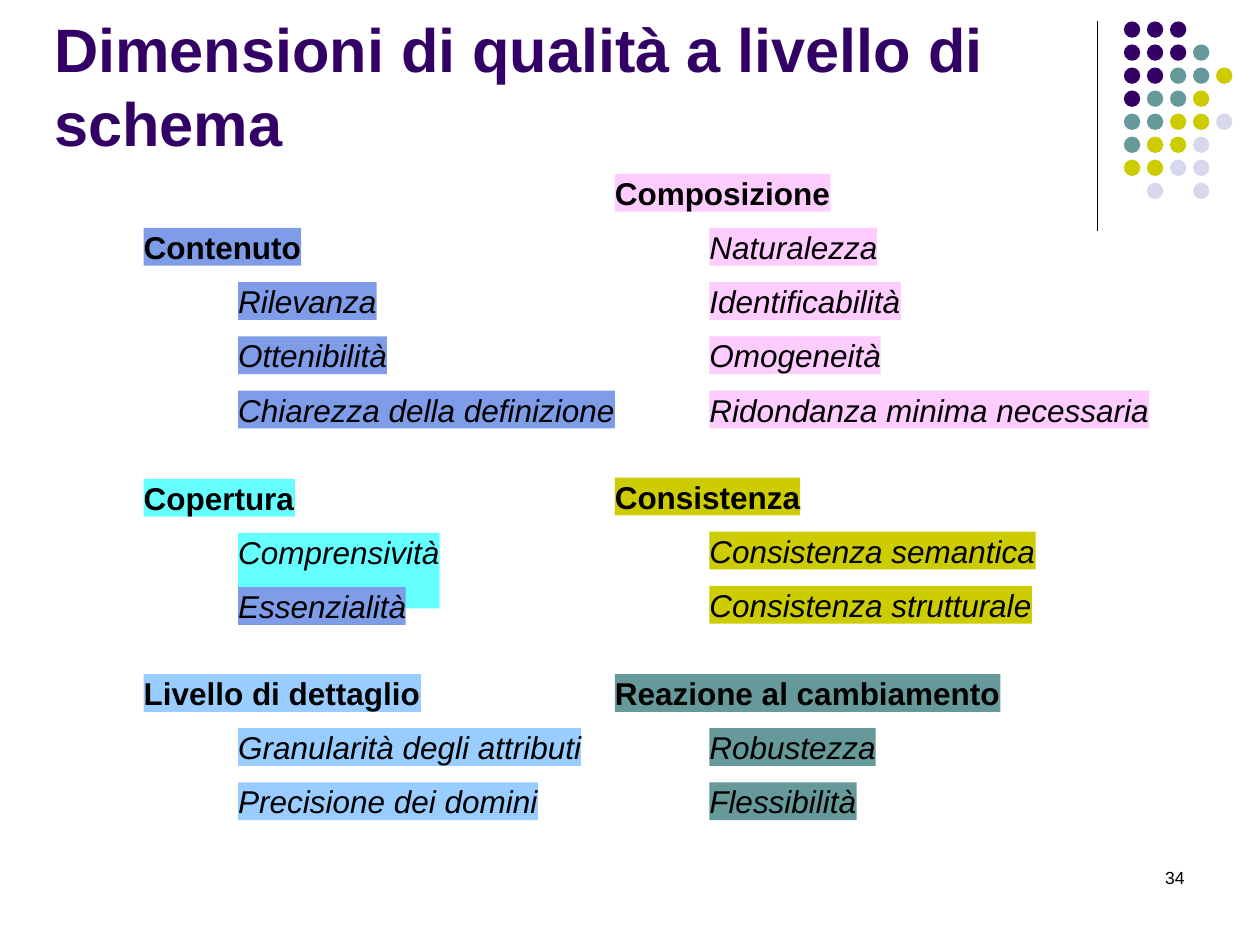
import lxml.etree
import pptx
import pptx.dml.color
import pptx.enum.shapes
import pptx.enum.text
import pptx.oxml.ns
import pptx.util
from pptx.util import Inches

TITLE = "Dimensioni di qualità a livello di schema"
PAGE_NUMBER = "34"

BLUE, CYAN, SKY = "7E9CE8", "66FFFF", "99CCFF"
PINK, OLIVE, TEAL = "FFCCFF", "CCCC00", "669999"
PURPLE, LAVENDER, BLACK = "330066", "D8D8EC", "000000"

# Each group: left, top, fill, then its labels with their widths, heading first
GROUPS = [
    (1.14, 1.81, BLUE, [("Contenuto", 1.25), ("Rilevanza", 1.1), ("Ottenibilità", 1.18),
                        ("Chiarezza della definizione", 2.99)]),
    (1.14, 3.8, CYAN, [("Copertura", 1.2), ("Comprensività", 1.6), ("Essenzialità", 1.33)]),
    (1.14, 5.35, SKY, [("Livello di dettaglio", 2.2), ("Granularità degli attributi", 2.72),
                       ("Precisione dei domini", 2.38)]),
    (4.88, 1.38, PINK, [("Composizione", 1.71), ("Naturalezza", 1.33), ("Identificabilità", 1.52),
                        ("Omogeneità", 1.36), ("Ridondanza minima necessaria", 3.49)]),
    (4.88, 3.79, OLIVE, [("Consistenza", 1.47), ("Consistenza semantica", 2.59),
                         ("Consistenza strutturale", 2.56)]),
    (4.88, 5.35, TEAL, [("Reazione al cambiamento", 3.06), ("Robustezza", 1.32),
                        ("Flessibilità", 1.17)]),
]
INDENT, ROW_PITCH, LABEL_HEIGHT = 0.75, 0.43, 0.3
SPECIAL_HEIGHTS = {"Comprensività": 0.6}
SPECIAL_FILLS = {"Essenzialità": BLUE}

DOT_ROWS = ["PPP", "PPPT", "PPTTO", "PTTO", "TTOOL", "TOOL", "OOLL", " L L"]
DOT_COLORS = {"P": PURPLE, "T": TEAL, "O": OLIVE, "L": LAVENDER}
DOT_LEFT, DOT_TOP, DOT_SIZE = 8.92, 0.17, 0.13
DOT_PITCH = 1.28 / 7


def color(hex_string):
    return pptx.dml.color.RGBColor.from_string(hex_string)


def add_filled_shape(shapes, kind, box, fill):
    shape = shapes.add_shape(kind, *map(Inches, box))
    shape.shadow.inherit = False
    shape.fill.solid()
    shape.fill.fore_color.rgb = color(fill)
    shape.line.fill.background()
    return shape


def write(shape, text, size, text_color=BLACK, bold=False, italic=False,
          align=pptx.enum.text.PP_ALIGN.LEFT):
    shape.text_frame.text = text
    paragraph = shape.text_frame.paragraphs[0]
    paragraph.alignment = align
    font = paragraph.runs[0].font
    font.name = "Arial"
    font.size = pptx.util.Pt(size)
    font.bold, font.italic = bold, italic
    font.color.rgb = color(text_color)


def add_label(slide, text, box, fill, heading):
    label = add_filled_shape(slide.shapes, pptx.enum.shapes.MSO_SHAPE.RECTANGLE, box, fill)
    frame = label.text_frame
    frame.margin_left = frame.margin_right = frame.margin_top = frame.margin_bottom = 0
    frame.word_wrap = False
    frame.vertical_anchor = pptx.enum.text.MSO_ANCHOR.TOP
    write(label, text, 18, bold=heading, italic=not heading)


def add_decoration(slide):
    """Draw the vertical rule and the dot pattern in the corner."""
    rule = slide.shapes.add_connector(pptx.enum.shapes.MSO_CONNECTOR.STRAIGHT,
                                      *map(Inches, (8.71, 0.17, 8.71, 1.83)))
    rule.line.color.rgb = color(BLACK)
    rule.line.width = pptx.util.Pt(0.75)
    lxml.etree.SubElement(rule._element.spPr, pptx.oxml.ns.qn("a:effectLst"))

    dots = slide.shapes.add_group_shape()
    for row, codes in enumerate(DOT_ROWS):
        for column, code in enumerate(codes):
            if code in DOT_COLORS:
                box = (DOT_LEFT + column * DOT_PITCH, DOT_TOP + row * DOT_PITCH,
                       DOT_SIZE, DOT_SIZE)
                add_filled_shape(dots.shapes, pptx.enum.shapes.MSO_SHAPE.OVAL, box,
                                 DOT_COLORS[code])


def add_title(slide):
    title = slide.shapes.title
    title.left, title.top, title.width, title.height = map(Inches, (0.33, 0.5, 9.17, 0.81))
    write(title, TITLE, 35, PURPLE, bold=True)
    title.text_frame.word_wrap = True
    title.text_frame.auto_size = pptx.enum.text.MSO_AUTO_SIZE.NONE
    title.text_frame.vertical_anchor = pptx.enum.text.MSO_ANCHOR.BOTTOM


def add_page_number(slide):
    number = slide.shapes.add_textbox(*map(Inches, (7.17, 6.83, 2.33, 0.5)))
    number.text_frame.word_wrap = True
    write(number, PAGE_NUMBER, 10, align=pptx.enum.text.PP_ALIGN.RIGHT)


def main():
    presentation = pptx.Presentation()
    presentation.slide_width, presentation.slide_height = Inches(10), Inches(7.5)
    slide = presentation.slides.add_slide(presentation.slide_layouts[5])
    add_decoration(slide)
    add_page_number(slide)
    add_title(slide)
    for left, top, fill, labels in GROUPS:
        for row, (text, width) in enumerate(labels):
            heading = row == 0
            box = (left if heading else left + INDENT, top + row * ROW_PITCH,
                   width, SPECIAL_HEIGHTS.get(text, LABEL_HEIGHT))
            add_label(slide, text, box, SPECIAL_FILLS.get(text, fill), heading)
    presentation.save("out.pptx")


if __name__ == "__main__":
    main()
